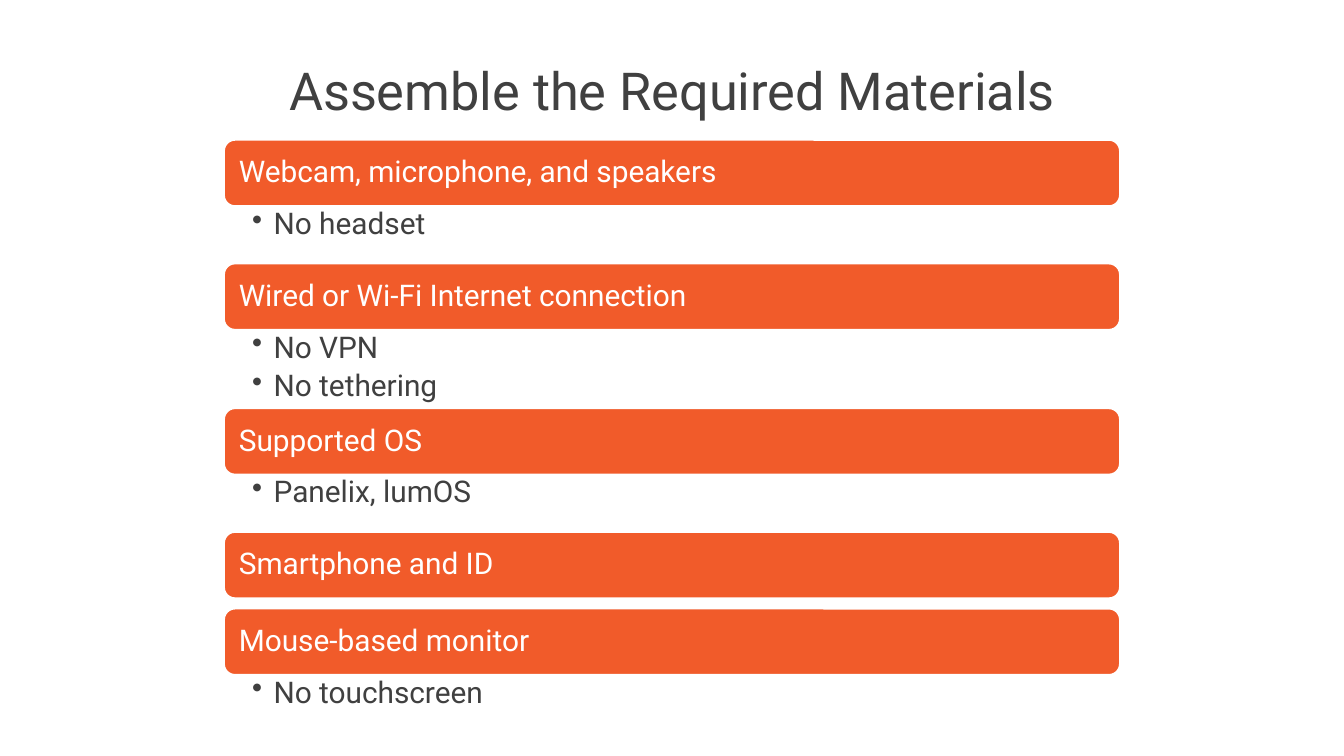
from pptx import Presentation
from pptx.dml.color import RGBColor
from pptx.enum.shapes import MSO_SHAPE
from pptx.enum.text import MSO_ANCHOR, MSO_AUTO_SIZE, PP_ALIGN
from pptx.oxml.ns import qn
from pptx.util import Pt
from lxml.etree import SubElement

EMU_PER_PX = 3048
ORANGE, GREY, WHITE = "F15B2A", "404040", "FFFFFF"
LEFT, WIDTH, TOP = 500, 2000, 312
BAR_HEIGHT, BAR_GAP = 148, 23
DETAIL_HEIGHTS = {1: 128, 2: 175}
MATERIALS = [
    ("Webcam, microphone, and speakers", ["No headset"]),
    ("Wired or Wi-Fi Internet connection", ["No VPN", "No tethering"]),
    ("Supported OS", ["Panelix, lumOS"]),
    ("Smartphone and ID", []),
    ("Mouse-based monitor", ["No touchscreen"]),
]


def px(length):
    return length * EMU_PER_PX


def color(hex_code):
    return RGBColor.from_string(hex_code)


class MaterialsSlide:
    """Holds the style and the slide that the elements are placed on."""

    font_name = "Roboto"

    def __init__(self, slide):
        self.slide = slide

    def format_text(self, frame, size, hex_code, insets, anchor, align=PP_ALIGN.LEFT):
        frame.word_wrap = True
        frame.auto_size = MSO_AUTO_SIZE.NONE
        frame.vertical_anchor = anchor
        (frame.margin_left, frame.margin_top,
         frame.margin_right, frame.margin_bottom) = map(px, insets)
        for paragraph in frame.paragraphs:
            paragraph.alignment = align
            paragraph.line_spacing = 0.9
            for run in paragraph.runs:
                run.font.name = self.font_name
                run.font.size = Pt(size)
                run.font.color.rgb = color(hex_code)

    def title(self, text):
        heading = self.slide.shapes.title
        heading.left, heading.top, heading.width, heading.height = map(px, (207, 141, 2586, 135))
        heading.text_frame.text = text
        self.format_text(heading.text_frame, 28, GREY, (0, 0, 0, 0),
                         MSO_ANCHOR.MIDDLE, PP_ALIGN.CENTER)

    def bar(self, top, text):
        bar = self.slide.shapes.add_shape(
            MSO_SHAPE.ROUNDED_RECTANGLE, *map(px, (LEFT, top, WIDTH, BAR_HEIGHT)))
        bar.shadow.inherit = False
        bar.fill.solid()
        bar.fill.fore_color.rgb = color(ORANGE)
        bar.line.color.rgb = color(WHITE)
        bar.line.width = Pt(1)
        bar.text_frame.text = text
        self.format_text(bar.text_frame, 16, WHITE, (26, 26, 26, 26), MSO_ANCHOR.MIDDLE)

    def details(self, top, height, items):
        box = self.slide.shapes.add_textbox(*map(px, (LEFT, top, WIDTH, height)))
        frame = box.text_frame
        frame.text = "\n".join(items)
        for paragraph in frame.paragraphs:
            paragraph.level = 1
            properties = paragraph._p.get_or_add_pPr()
            properties.set("marL", str(px(48)))
            properties.set("indent", str(px(-48)))
            SubElement(properties, qn("a:buChar")).set("char", "•")
            paragraph.space_after = Pt(3.5)
        self.format_text(frame, 16, GREY, (63, 6, 36, 6), MSO_ANCHOR.TOP)


def main():
    deck = Presentation()
    deck.slide_width, deck.slide_height = px(3000), px(1687)
    page = MaterialsSlide(deck.slides.add_slide(deck.slide_layouts[5]))
    page.title("Assemble the Required Materials")
    top = TOP
    for material, restrictions in MATERIALS:
        page.bar(top, material)
        top += BAR_HEIGHT
        if restrictions:
            height = DETAIL_HEIGHTS[len(restrictions)]
            page.details(top, height, restrictions)
            top += height
        else:
            top += BAR_GAP
    deck.save("out.pptx")


if __name__ == "__main__":
    main()
